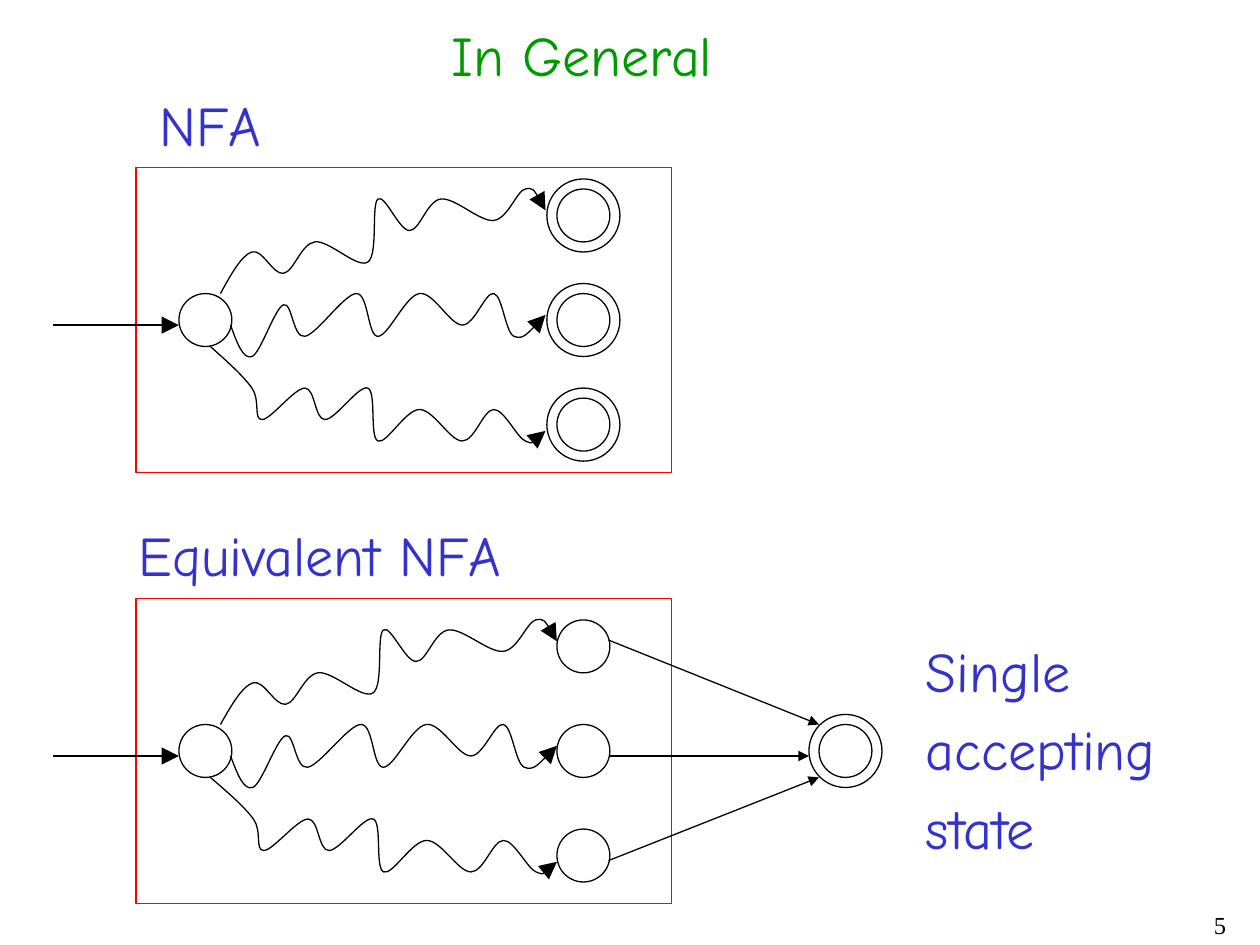
from dataclasses import dataclass

import lxml.etree
import pptx
import pptx.dml.color
import pptx.enum.shapes
import pptx.enum.text
import pptx.oxml.ns
import pptx.util

Inches = pptx.util.Inches
qn = pptx.oxml.ns.qn
MSO_SHAPE = pptx.enum.shapes.MSO_SHAPE
PP_ALIGN = pptx.enum.text.PP_ALIGN

Point = tuple[float, float]


@dataclass(frozen=True)
class Theme:
    title: str = "009900"
    label: str = "3333CC"
    ink: str = "000000"
    frame: str = "FF0000"
    font: str = "Comic Neue"
    number_font: str = "Times New Roman"
    text_size: float = 32
    number_size: float = 14
    space_before: float = 6.4
    line_width: float = 0.75


@dataclass(frozen=True)
class Label:
    lines: tuple[str, ...]
    left: float
    top: float
    width: float
    height: float


@dataclass(frozen=True)
class Automaton:
    dy: float         # offset below the upper automaton
    wave_end: float   # x where the wavy paths stop
    accepting: bool   # whether its three end states accept


THEME = Theme()
STATE, RING = 0.42, 0.58      # diameters of a state and its accepting ring
START: Point = (1.63, 2.54)
END_X, END_YS = 4.63, (1.71, 2.54, 3.37)
FINAL: Point = (6.71, 5.96)

LABELS = [
    Label(("NFA",), 1.17, 0.67, 1.15, 0.63),
    Label(("Equivalent NFA",), 1, 4.08, 3.4, 0.63),
    Label(("Single", "accepting", "state"), 7.25, 5, 2.17, 1.91),
]
AUTOMATA = [Automaton(0, 4.33, True), Automaton(3.42, 4.42, False)]
ACCEPT_ARROWS = [
    ((4.83, 5.08), (6.5, 5.75)),
    ((4.83, 6), (6.42, 6)),
    ((4.83, 6.83), (6.5, 6.17)),
]
# Points that each wavy path of the upper automaton passes through
WAVES: list[list[Point]] = [
    [(1.75, 2.33), (2, 2), (2.25, 2.17), (2.5, 1.92), (2.92, 2.08), (3, 1.58),
     (3.25, 1.83), (3.5, 1.58), (3.92, 1.75), (4.17, 1.5), (4.33, 1.67)],
    [(1.83, 2.58), (2, 2.83), (2.25, 2.42), (2.42, 2.67), (2.83, 2.33), (3, 2.67),
     (3.33, 2.33), (3.67, 2.58), (3.92, 2.33), (4.08, 2.67), (4.33, 2.5)],
    [(1.67, 2.75), (2, 3.08), (2.08, 3.33), (2.42, 3.08), (2.58, 3.33), (2.92, 3.08),
     (3, 3.5), (3.33, 3.25), (3.67, 3.5), (3.92, 3.25), (4.17, 3.5), (4.33, 3.42)],
]


def rgb(color: str) -> pptx.dml.color.RGBColor:
    return pptx.dml.color.RGBColor.from_string(color)


def write(sp, lines: tuple[str, ...], size: float, font: str, color: str,
          align=PP_ALIGN.LEFT, wrap: bool = False) -> None:
    tf = sp.text_frame
    frame_format = {
        "word_wrap": wrap,
        "auto_size": pptx.enum.text.MSO_AUTO_SIZE.SHAPE_TO_FIT_TEXT,
        "vertical_anchor": pptx.enum.text.MSO_ANCHOR.TOP,
    }
    for name, value in frame_format.items():
        setattr(tf, name, value)
    for i, line in enumerate(lines):
        p = tf.paragraphs[0] if i == 0 else tf.add_paragraph()
        p.alignment = align
        p.space_before = pptx.util.Pt(THEME.space_before if i else 0)
        r = p.add_run()
        r.text = line
        for name, value in {"size": pptx.util.Pt(size), "name": font}.items():
            setattr(r.font, name, value)
        r.font.color.rgb = rgb(color)


def outline(sp, color: str = THEME.ink) -> None:
    sp.line.color.rgb = rgb(color)
    sp.line.width = pptx.util.Pt(THEME.line_width)


def add_arrowhead(sp, size: str) -> None:
    ln = sp.element.spPr.get_or_add_ln()
    lxml.etree.SubElement(ln, qn("a:tailEnd"), type="triangle", w=size, len=size)


def add_outlined(s, kind, left: float, top: float, width: float, height: float,
                 color: str = THEME.ink) -> None:
    sp = s.shapes.add_shape(kind, *map(Inches, (left, top, width, height)))
    sp.shadow.inherit = False
    sp.fill.background()
    outline(sp, color)


def add_state(s, center: Point, accepting: bool = False) -> None:
    for d in (STATE, RING) if accepting else (STATE,):
        add_outlined(s, MSO_SHAPE.OVAL, center[0] - d / 2, center[1] - d / 2, d, d)


def add_arrow(s, start: Point, end: Point, head: str = "med") -> None:
    sp = s.shapes.add_connector(pptx.enum.shapes.MSO_CONNECTOR.STRAIGHT,
                                *map(Inches, (*start, *end)))
    outline(sp)
    add_arrowhead(sp, head)
    lxml.etree.SubElement(sp.element.spPr, qn("a:effectLst"))


def midpoint(a: Point, b: Point) -> Point:
    return (a[0] + b[0]) / 2, (a[1] + b[1]) / 2


def bezier_points(knots: list[Point]) -> list[Point]:
    """Two control points and an end point for each piece of a smooth curve."""
    slopes = [((c[0] - a[0]) / 6, (c[1] - a[1]) / 6) for a, c in zip(knots, knots[2:])]
    before = [(x - u, y - v) for (x, y), (u, v) in zip(knots[1:], slopes)]
    after = [(x + u, y + v) for (x, y), (u, v) in zip(knots[1:], slopes)]
    firsts = [midpoint(knots[0], before[0]), *after]
    seconds = [*before, midpoint(after[-1], knots[-1])]
    return [pt for piece in zip(firsts, seconds, knots[1:]) for pt in piece]


def add_wave(s, knots: list[Point]) -> None:
    to_emu = lambda pt: (Inches(pt[0]), Inches(pt[1]))
    builder = s.shapes.build_freeform(*to_emu(knots[0]))
    builder.add_line_segments([to_emu(pt) for pt in bezier_points(knots)], close=False)
    sp = builder.convert_to_shape()
    # Turn every three line segments into one cubic curve
    segments = list(sp.element.iter(qn("a:lnTo")))
    for i in range(0, len(segments), 3):
        curve = segments[i]
        curve.tag = qn("a:cubicBezTo")
        for extra in segments[i + 1:i + 3]:
            curve.append(extra[0])
            extra.getparent().remove(extra)
    sp.shadow.inherit = False
    sp.fill.background()
    outline(sp)
    add_arrowhead(sp, "lg")


def add_automaton(s, a: Automaton) -> None:
    add_outlined(s, MSO_SHAPE.RECTANGLE, 1.08, 1.33 + a.dy, 4.25, 2.42, THEME.frame)
    add_state(s, (START[0], START[1] + a.dy))
    for y in END_YS:
        add_state(s, (END_X, y + a.dy), a.accepting)
    add_arrow(s, (0.42, 2.58 + a.dy), (1.42, 2.58 + a.dy), "lg")
    for wave in WAVES:
        x0, x1 = wave[0][0], wave[-1][0]
        stretch = (a.wave_end - x0) / (x1 - x0)
        add_wave(s, [(x0 + (x - x0) * stretch, y + a.dy) for x, y in wave])


def main() -> None:
    prs = pptx.Presentation()
    prs.slide_width, prs.slide_height = Inches(10), Inches(7.5)
    s = prs.slides.add_slide(prs.slide_layouts[5])

    # Title
    title = s.shapes.title
    box = {"left": 3.48, "top": 0.11, "width": 2.39, "height": 0.63}
    for name, value in box.items():
        setattr(title, name, Inches(value))
    write(title, ("In General",), THEME.text_size, THEME.font, THEME.title)

    # Labels
    for label in LABELS:
        sp = s.shapes.add_textbox(
            *map(Inches, (label.left, label.top, label.width, label.height)))
        write(sp, label.lines, THEME.text_size, THEME.font, THEME.label)

    # Both automata
    for automaton in AUTOMATA:
        add_automaton(s, automaton)

    # Single accepting state
    add_state(s, FINAL, accepting=True)
    for start, end in ACCEPT_ARROWS:
        add_arrow(s, start, end)

    # Slide number
    number = s.shapes.add_textbox(*map(Inches, (7.75, 7.17, 2.08, 0.33)))
    write(number, ("5",), THEME.number_size, THEME.number_font, THEME.ink,
          PP_ALIGN.RIGHT, wrap=True)

    prs.save("out.pptx")


if __name__ == "__main__":
    main()
